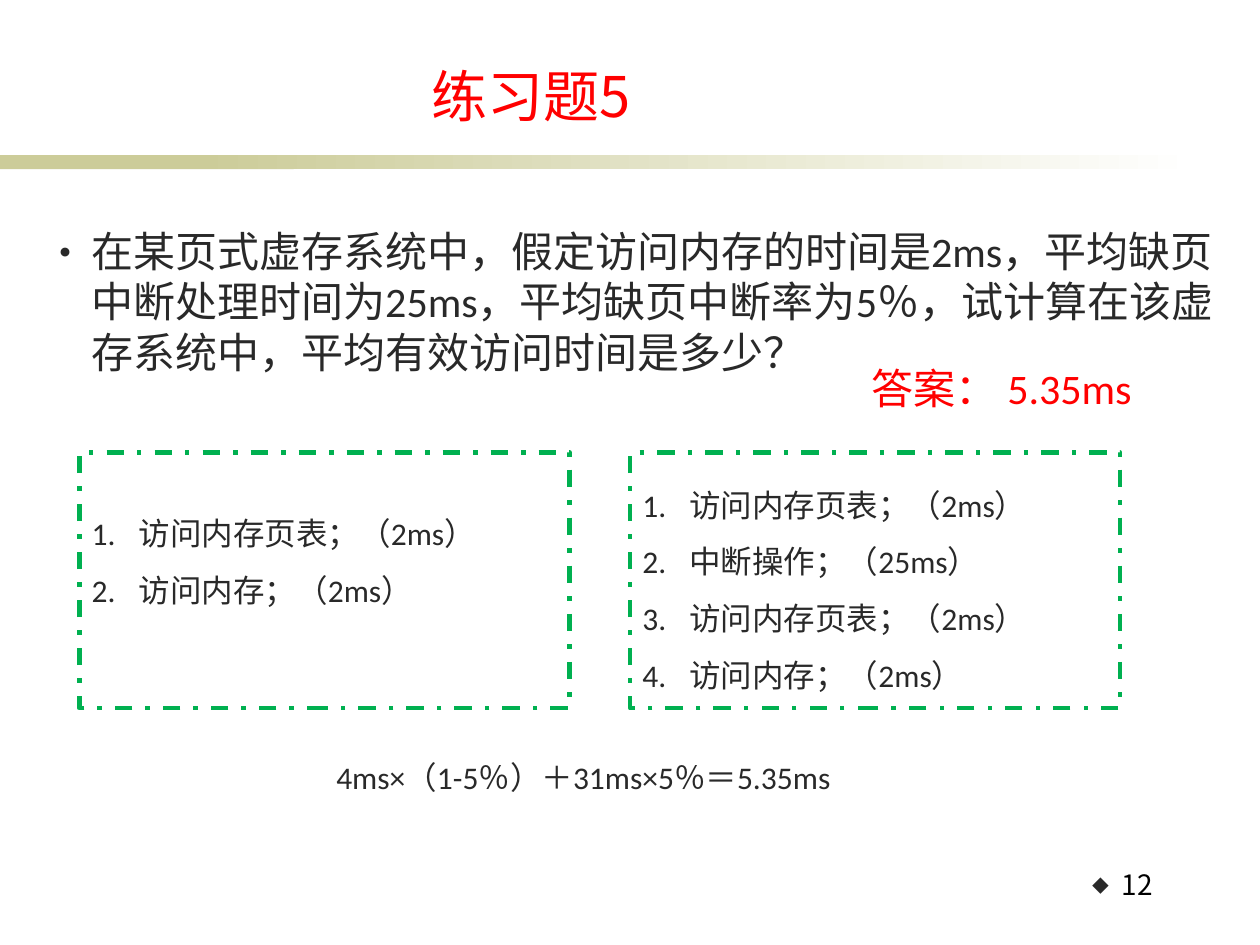
from lxml.etree import SubElement
from pptx import Presentation
from pptx.dml.color import RGBColor
from pptx.enum.dml import MSO_LINE
from pptx.enum.shapes import MSO_SHAPE
from pptx.enum.text import MSO_ANCHOR, PP_ALIGN
from pptx.oxml.ns import qn
from pptx.util import Cm, Pt

SANS, BODY = "Noto Sans CJK SC", "Calibri"
RED, DARK, GREEN, OLIVE = "FF0000", "292929", "00B050", "CCCC99"
HANG = 0.95


def rgb(value):
    return RGBColor.from_string(value)


def set_bullet(p, tag, indent=0, color=None, size=None, **attrs):
    """Add a bullet or number with a hanging indent in cm."""
    pPr = p._p.get_or_add_pPr()
    if indent:
        pPr.set("marL", str(Cm(indent)))
        pPr.set("indent", str(-Cm(indent)))
    if color:
        SubElement(SubElement(pPr, qn("a:buClr")), qn("a:srgbClr"), val=color)
    if size:
        SubElement(pPr, qn("a:buSzPct"), val=str(size * 1000))
    SubElement(pPr, qn("a:buFont"), typeface=SANS)
    SubElement(pPr, qn(f"a:{tag}"), **attrs)


def write(p, text, size, color, font=BODY, **formats):
    """Fill a paragraph with one run and apply paragraph formats."""
    for name, value in formats.items():
        setattr(p, name, value)
    r = p.add_run()
    r.text = text
    for name, value in {"size": Pt(size), "name": font}.items():
        setattr(r.font, name, value)
    r.font.color.rgb = rgb(color)
    SubElement(r._r.get_or_add_rPr(), qn("a:ea"), typeface=font)


def add_text(s, box, text, size, color, font=BODY, anchor=MSO_ANCHOR.TOP, **formats):
    tf = s.shapes.add_textbox(*map(Cm, box)).text_frame
    tf.word_wrap = True
    tf.vertical_anchor = anchor
    p = tf.paragraphs[0]
    write(p, text, size, color, font, **formats)
    return p


def add_rect(s, box):
    sp = s.shapes.add_shape(MSO_SHAPE.RECTANGLE, *map(Cm, box))
    sp.shadow.inherit = False
    return sp


def add_rule(s, x, y, w, h):
    """Solid band that fades out to the right."""
    solid = add_rect(s, (x, y, 5.92, h))
    solid.fill.solid()
    solid.fill.fore_color.rgb = rgb(OLIVE)
    fade = add_rect(s, (x + 4.01, y, w - 4.01, h))
    fade.fill.gradient()
    fade.fill.gradient_angle = 0
    for stop, color, position in zip(fade.fill.gradient_stops, (OLIVE, "FFFFFF"), (0, 1)):
        stop.color.rgb = rgb(color)
        stop.position = position
    for sp in (solid, fade):
        sp.line.fill.background()


def add_steps(s, box, steps, align, bottom=0.13):
    """Dash-dot frame with numbered steps."""
    sp = add_rect(s, box)
    sp.fill.solid()
    sp.fill.fore_color.rgb = rgb("FFFFFF")
    sp.line.color.rgb = rgb(GREEN)
    sp.line.width = Pt(2.5)
    sp.line.dash_style = MSO_LINE.DASH_DOT
    tf = sp.text_frame
    formats = {"word_wrap": False, "vertical_anchor": MSO_ANCHOR.MIDDLE,
               "margin_bottom": Cm(bottom)}
    for name, value in formats.items():
        setattr(tf, name, value)
    for i, step in enumerate(steps):
        p = tf.add_paragraph() if i else tf.paragraphs[0]
        write(p, step, 18, DARK, alignment=align, line_spacing=1.5)
        set_bullet(p, "buAutoNum", HANG, type="arabicPeriod")


def main():
    prs = Presentation()
    prs.slide_width, prs.slide_height = Cm(25.4), Cm(19.05)
    s = prs.slides.add_slide(prs.slide_layouts[6])

    # Title and rule
    add_rule(s, 0, 3.13, 24.13, 0.28)
    add_text(s, (2.9, 1.12, 15.6, 1.6), "练习题5", 32, RED, SANS,
             MSO_ANCHOR.BOTTOM, alignment=PP_ALIGN.CENTER)

    # Page number
    p = add_text(s, (20.9, 17.45, 2.59, 1.27), "12", 16, "000000", SANS,
                 alignment=PP_ALIGN.RIGHT, line_spacing=0.9, space_before=Pt(3.2))
    set_bullet(p, "buChar", color=DARK, size=60, char="◆")

    # Question and answer
    p = add_text(s, (0.64, 4.42, 24.16, 3.33),
                 "在某页式虚存系统中，假定访问内存的时间是2ms，平均缺页中断处理时间为25ms，"
                 "平均缺页中断率为5％，试计算在该虚存系统中，平均有效访问时间是多少？", 24, DARK)
    set_bullet(p, "buChar", HANG, char="•")
    add_text(s, (15.6, 7.19, 9.19, 2.31), "答案： 5.35ms", 24, RED,
             alignment=PP_ALIGN.CENTER)

    # Formula
    add_text(s, (6.53, 15.16, 11.02, 1.02), "4ms×（1-5％）＋31ms×5％＝5.35ms", 18, DARK)

    # Steps for a page hit and for a page fault
    lookup, access = "访问内存页表；（2ms）", "访问内存；（2ms）"
    cases = [([lookup, access], PP_ALIGN.JUSTIFY, 1.27),
             ([lookup, "中断操作；（25ms）", lookup, access], PP_ALIGN.LEFT, 0.13)]
    for i, (steps, align, bottom) in enumerate(cases):
        add_steps(s, (1.6 + 11.1 * i, 9.12, 9.88, 5.16), steps, align, bottom)

    prs.save("out.pptx")


if __name__ == "__main__":
    main()
